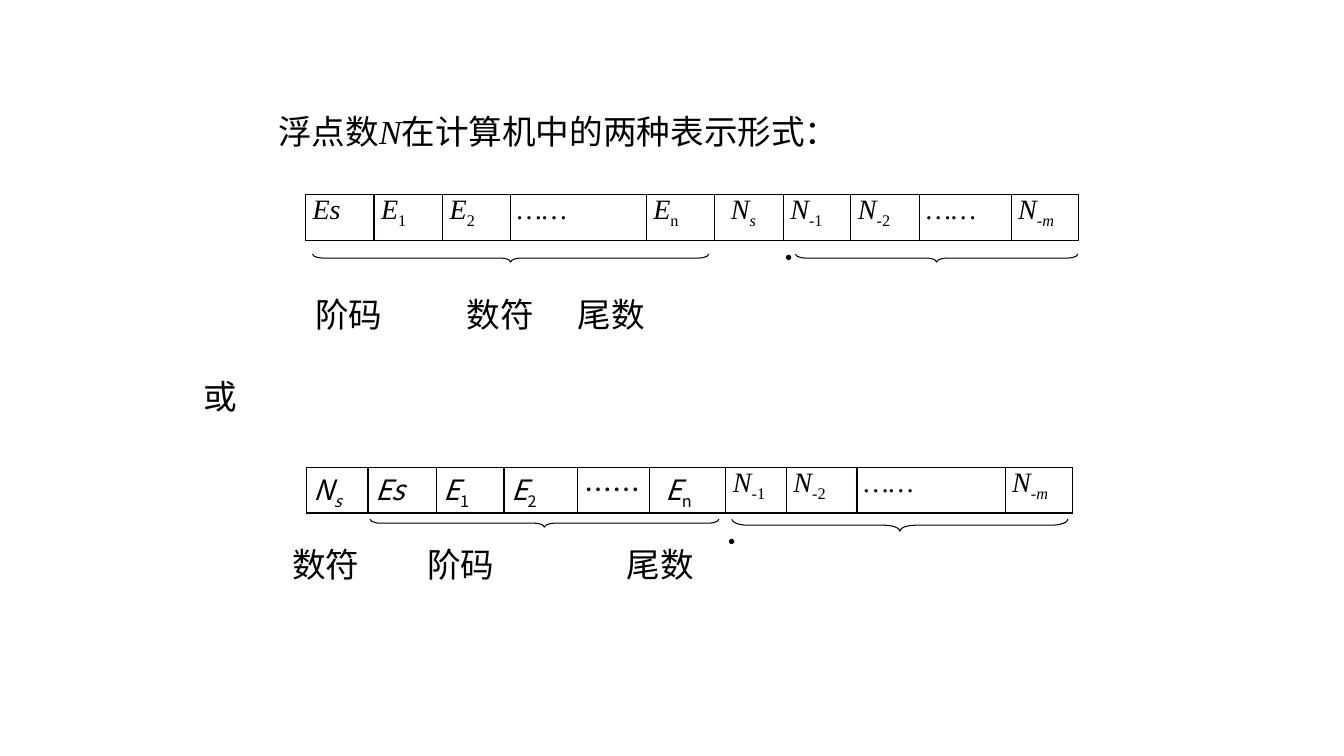
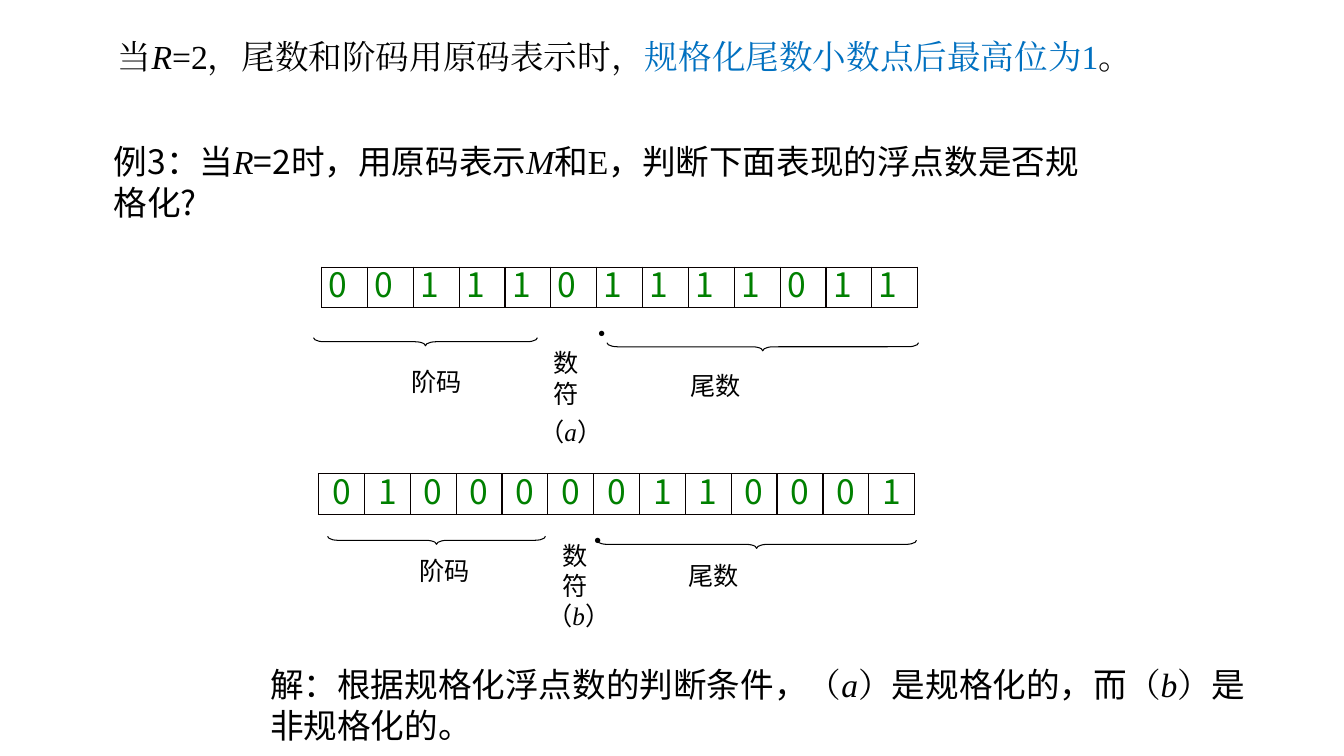
from lxml.etree import SubElement
from pptx import Presentation
from pptx.dml.color import RGBColor
from pptx.enum.shapes import MSO_SHAPE
from pptx.enum.text import MSO_ANCHOR, MSO_AUTO_SIZE, PP_ALIGN
from pptx.oxml import parse_xml
from pptx.oxml.ns import nsdecls, qn
from pptx.util import Inches, Pt

COLORS = {"text": "000000", "border": "080000", "digit": "008000", "accent": "0070C0"}
SANS, SERIF = "Noto Sans CJK SC", "Times New Roman"
LINE_SPACING = 1.2


def write(paragraph, runs, size, color="text", tight=True):
    """Add (text, style) runs; style letters: t serif, i italic, s subscript, a accent."""
    if tight:
        paragraph.line_spacing = Pt(size * LINE_SPACING)
    for text, style in runs:
        run = paragraph.add_run()
        run.text = text
        font = run.font
        font.size = Pt(size)
        font.italic = "i" in style
        font.color.rgb = RGBColor.from_string(COLORS["accent" if "a" in style else color])
        font.name = SERIF if "t" in style else SANS
        properties = run._r.get_or_add_rPr()
        SubElement(properties, qn("a:ea")).set("typeface", font.name)
        if "s" in style:
            properties.set("baseline", "-25000")


def set_up_frame(shape, left, top, width, height):
    """Place a text shape and give it the common margins and alignment."""
    shape.left, shape.top = Inches(left), Inches(top)
    shape.width, shape.height = Inches(width), Inches(height)
    frame = shape.text_frame
    frame.word_wrap = True
    frame.auto_size = MSO_AUTO_SIZE.NONE
    frame.vertical_anchor = MSO_ANCHOR.TOP
    frame.margin_left = frame.margin_right = Inches(0.1)
    frame.margin_top, frame.margin_bottom = Inches(0.08), Inches(0)
    frame.paragraphs[0].alignment = PP_ALIGN.LEFT
    return frame


presentation = Presentation()
presentation.slide_width, presentation.slide_height = Inches(13.33), Inches(7.5)
title_layout = presentation.slide_layouts[5]
formats_slide = presentation.slides.add_slide(title_layout)
example_slide = presentation.slides.add_slide(title_layout)

# Titles
titles = [
    (formats_slide, (2.66, 1.02, 5.56, 0.9),
     [("浮点数", ""), ("N", "ti"), ("在计算机中的两种表示形式：", "")]),
    (example_slide, (1.07, 0.28, 10.9, 0.5),
     [("当", "t"), ("R", "ti"), ("=2，尾数和阶码用原码表示时，", "t"),
      ("规格化尾数小数点后最高位为1", "ta"), ("。", "t")]),
]
for slide, box, runs in titles:
    write(set_up_frame(slide.shapes.title, *box).paragraphs[0], runs, 24)

# Number layouts: each cell is a list of runs
mantissa_1 = [("N", "ti"), ("-1", "ts")]
mantissa_2 = [("N", "ti"), ("-2", "ts")]
mantissa_m = [("N", "ti"), ("-", "ts"), ("m", "tis")]
serif_dots = [("……", "ti")]
exponent_first = [
    [("Es", "ti")], [("E", "ti"), ("1", "ts")], [("E", "ti"), ("2", "ts")], serif_dots,
    [("E", "ti"), ("n", "ts")], [("N", "ti"), ("s", "tis")],
    mantissa_1, mantissa_2, serif_dots, mantissa_m,
]
sign_first = [
    [("N", "i"), ("s", "is")], [("Es", "i")], [("E", "i"), ("1", "s")],
    [("E", "i"), ("2", "s")], [("……", "")], [("E", "i"), ("n", "s")],
    mantissa_1, mantissa_2, serif_dots, mantissa_m,
]
example_a, example_b = (
    [[(digit, "")] for digit in bits] for bits in ("0011101111011", "0100000110001"))
bit_widths = [0.455] * 13

# Slide, left, top, row height, column widths, cells, size, colour, alignment, indented column
tables = [
    (formats_slide, 3.03, 1.93, 0.46,
     [0.68, 0.68, 0.67, 1.35, 0.68, 0.68, 0.67, 0.68, 0.91, 0.67],
     exponent_first, 20, "text", PP_ALIGN.LEFT, 5),
    (formats_slide, 3.04, 4.64, 0.45,
     [0.61, 0.68, 0.67, 0.73, 0.71, 0.76, 0.6, 0.7, 1.47, 0.67],
     sign_first, 20, "text", PP_ALIGN.LEFT, 5),
    (example_slide, 3.19, 2.65, 0.4, bit_widths, example_a, 24, "digit", PP_ALIGN.LEFT, None),
    (example_slide, 3.16, 4.7, 0.4, bit_widths, example_b, 24, "digit", PP_ALIGN.CENTER, None),
]
for slide, left, top, height, widths, cells, size, color, alignment, indented in tables:
    table = slide.shapes.add_table(1, len(cells), Inches(left), Inches(top),
                                   Inches(sum(widths)), Inches(height)).table
    table.first_row = table.horz_banding = False
    for column, (width, runs) in enumerate(zip(widths, cells)):
        table.columns[column].width = Inches(width)
        cell = table.cell(0, column)
        cell.margin_left = Inches(0.16 if column == indented else 0.07)
        cell.margin_right = Inches(0.07)
        cell.margin_top = cell.margin_bottom = 0
        cell.fill.background()
        cell_properties = cell._tc.get_or_add_tcPr()
        for position, side in enumerate("LRTB"):
            cell_properties.insert(position, parse_xml(
                f'<a:ln{side} {nsdecls("a")} w="12700"><a:solidFill>'
                f'<a:srgbClr val="{COLORS["border"]}"/></a:solidFill></a:ln{side}>'))
        paragraph = cell.text_frame.paragraphs[0]
        paragraph.alignment = alignment
        write(paragraph, runs, size, color, tight=slide is example_slide)

# Braces below the tables: slide, left, top, length, depth
braces = [
    (formats_slide, 3.1, 2.52, 3.93, 0.08),
    (formats_slide, 7.89, 2.52, 2.8, 0.08),
    (formats_slide, 3.67, 5.15, 3.46, 0.08),
    (formats_slide, 7.26, 5.15, 3.33, 0.12),
    (example_slide, 3.11, 3.35, 2.22, 0.08),
    (example_slide, 6.02, 3.4, 3.09, 0.08),
    (example_slide, 3.25, 5.32, 2.16, 0.08),
    (example_slide, 5.92, 5.36, 3.17, 0.08),
]
for slide, left, top, length, depth in braces:
    offset = (length - depth) / 2
    brace = slide.shapes.add_shape(MSO_SHAPE.LEFT_BRACE, Inches(left + offset),
                                   Inches(top - offset), Inches(depth), Inches(length))
    brace.rotation = 270
    brace.adjustments[0] = 1.3
    brace.shadow.inherit = False
    brace.fill.background()
    brace.line.color.rgb = RGBColor.from_string(COLORS["text"])
    brace.line.width = Pt(0.75)

# Short labels: slide, text, size, left, top, width
labels = [
    (formats_slide, "阶码", 24, 3.03, 2.84, 1),
    (formats_slide, "数符", 24, 4.53, 2.84, 1),
    (formats_slide, "尾数", 24, 5.63, 2.84, 1),
    (formats_slide, "或", 24, 1.92, 3.65, 0.6),
    (formats_slide, "数符", 24, 2.8, 5.32, 1),
    (formats_slide, "阶码", 24, 4.14, 5.32, 1),
    (formats_slide, "尾数", 24, 6.12, 5.32, 1),
    (formats_slide, "•", 18, 7.6, 2.32, 0.41),
    (formats_slide, "•", 18, 7.04, 5.14, 0.41),
    (example_slide, "阶码", 18, 3.98, 3.55, 1.03),
    (example_slide, "数符", 18, 5.39, 3.37, 0.46),
    (example_slide, "尾数", 18, 6.75, 3.59, 1.03),
    (example_slide, "•", 18, 5.75, 3.08, 0.41),
    (example_slide, "阶码", 18, 4.06, 5.43, 1.03),
    (example_slide, "数符", 18, 5.48, 5.28, 0.46),
    (example_slide, "尾数", 18, 6.73, 5.48, 1.03),
    (example_slide, "•", 18, 5.71, 5.13, 0.41),
]
# Mixed text on the example slide: runs, size, left, top, width
passages = [
    ([("例3：当", ""), ("R", "ti"), ("=2时，用原码表示", ""), ("M", "ti"), ("和", ""),
      ("E", "t"), ("，判断下面表现的浮点数是否规格化?", "")], 24, 1.03, 1.32, 10.05),
    ([("（", ""), ("a", "ti"), ("）", "")], 18, 5.25, 4.05, 1.04),
    ([("（", ""), ("b", "ti"), ("）", "")], 18, 5.33, 5.88, 1.04),
    ([("解：根据规格化浮点数的判断条件，", ""), ("（", "t"), ("a", "ti"), ("）", "t"),
      ("是规格化的，而", ""), ("（", "t"), ("b", "ti"), ("）", "t"),
      ("是非规格化的。", "")], 24, 2.58, 6.51, 9.93),
]
texts = [(slide, [(text, "")], *rest) for slide, text, *rest in labels]
texts += [(example_slide, *passage) for passage in passages]
for slide, runs, size, left, top, width in texts:
    height = 0.91 if width > 5 else 0.71 if width == 0.46 else 0.5
    box = slide.shapes.add_textbox(0, 0, 0, 0)
    write(set_up_frame(box, left, top, width, height).paragraphs[0], runs, size)

presentation.save("out.pptx")
